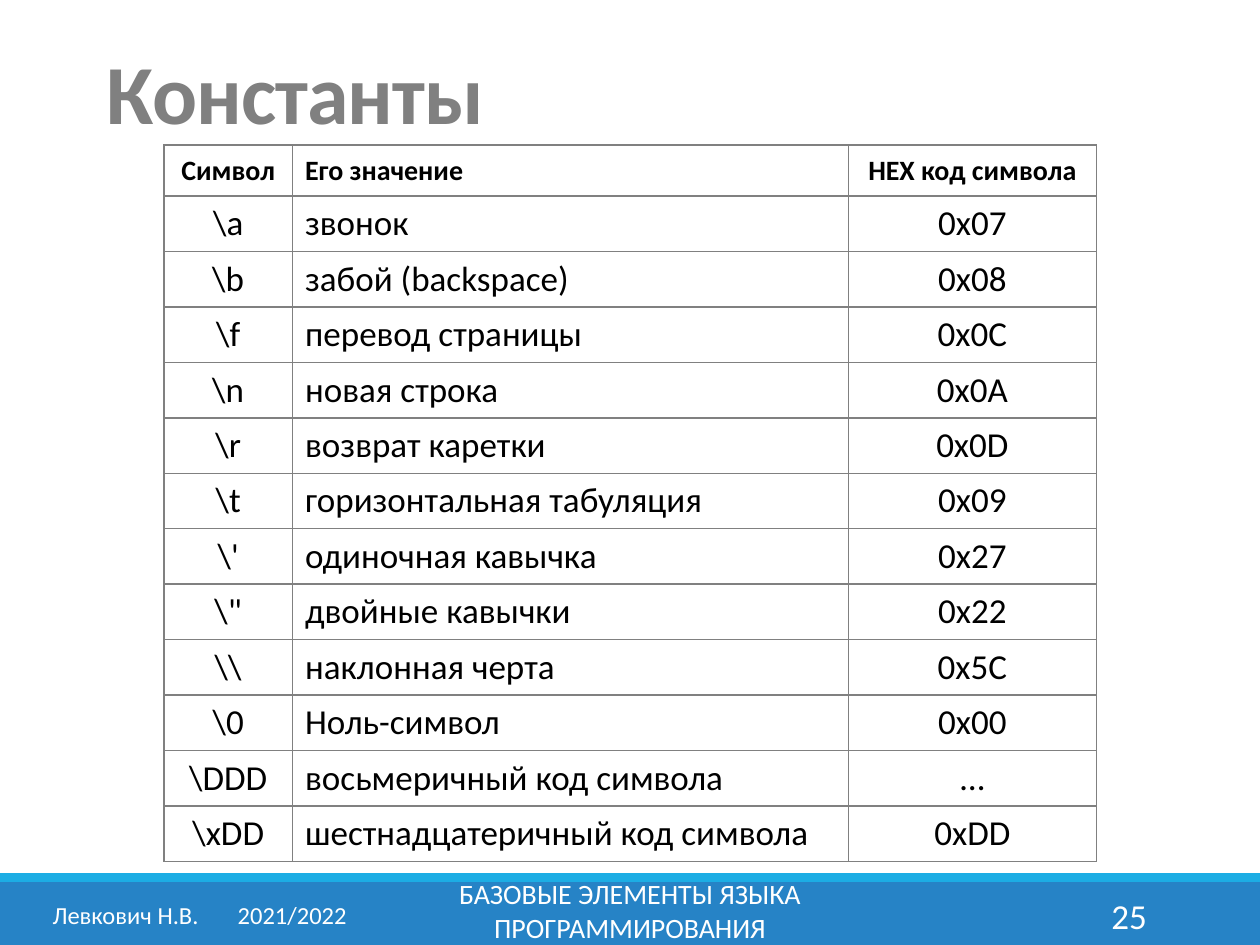
from dataclasses import dataclass
from typing import Optional

import pptx
import pptx.dml.color
import pptx.enum.shapes
import pptx.enum.text
import pptx.oxml
import pptx.oxml.ns
import pptx.util

Pt = pptx.util.Pt
ALIGN = pptx.enum.text.PP_ALIGN
ANCHOR = pptx.enum.text.MSO_ANCHOR
FONT = "Calibri"
GREY = "808080"
WHITE = "FFFFFF"
BLACK = "000000"


@dataclass
class Bar:
    top: float
    height: float
    fill: str


@dataclass
class Label:
    text: str
    left: float
    top: float
    width: float
    height: float
    size: float
    color: str = WHITE
    bold: bool = False
    align: ALIGN = ALIGN.LEFT
    anchor: ANCHOR = ANCHOR.MIDDLE
    line_spacing: Optional[float] = None
    char_spacing: Optional[float] = None
    tab: Optional[float] = None


BARS = [Bar(504, 36, "2683C6"), Bar(499, 5, "1CADE4")]

LABELS = [
    Label("Константы", 54, 18, 631.5, 66.2, 48, GREY, bold=True,
          anchor=ANCHOR.BOTTOM, line_spacing=0.85, char_spacing=-0.5),
    Label("25", 584.6, 508.5, 77.8, 28.8, 20, align=ALIGN.RIGHT),
    Label("БАЗОВЫЕ ЭЛЕМЕНТЫ ЯЗЫКА ПРОГРАММИРОВАНИЯ", 217.4, 502.6, 285.2, 35.3, 16,
          align=ALIGN.CENTER),
    Label("Левкович Н.В.\t2021/2022", 23, 508.5, 188, 28.8, 14, tab=105.8),
]

HEADER = ("Символ", "Его значение", "HEX код символа")
ESCAPES = [
    (r"\a", "звонок", "0x07"),
    (r"\b", "забой (backspace)", "0x08"),
    (r"\f", "перевод страницы", "0x0C"),
    (r"\n", "новая строка", "0x0A"),
    (r"\r", "возврат каретки", "0x0D"),
    (r"\t", "горизонтальная табуляция", "0x09"),
    (r"\'", "одиночная кавычка", "0x27"),
    (r"\"", "двойные кавычки", "0x22"),
    ("\\\\", "наклонная черта", "0x5C"),
    (r"\0", "Ноль-символ", "0x00"),
    (r"\DDD", "восьмеричный код символа", "…"),
    (r"\xDD", "шестнадцатеричный код символа", "0xDD"),
]
COLUMN_WIDTHS = (73.6, 317.6, 141.8)
COLUMN_ALIGNS = (ALIGN.CENTER, ALIGN.LEFT, ALIGN.CENTER)
HEADER_HEIGHT, ROW_HEIGHT = 29.2, 31.7


def rgb(color: str) -> pptx.dml.color.RGBColor:
    return pptx.dml.color.RGBColor.from_string(color)


def set_font(p, size: float, color: str, bold: bool) -> None:
    p.font.name = FONT
    p.font.size = Pt(size)
    p.font.bold = bold
    p.font.color.rgb = rgb(color)


def add_bar(s, bar: Bar) -> None:
    sp = s.shapes.add_shape(pptx.enum.shapes.MSO_SHAPE.RECTANGLE,
                            0, Pt(bar.top), Pt(720), Pt(bar.height))
    sp.shadow.inherit = False
    sp.fill.solid()
    sp.fill.fore_color.rgb = rgb(bar.fill)
    sp.line.fill.background()


def add_label(s, label: Label) -> None:
    sp = s.shapes.add_textbox(Pt(label.left), Pt(label.top),
                              Pt(label.width), Pt(label.height))
    tf = sp.text_frame
    tf.word_wrap = True
    tf.vertical_anchor = label.anchor
    p = tf.paragraphs[0]
    p.text = label.text
    p.alignment = label.align
    set_font(p, label.size, label.color, label.bold)
    if label.line_spacing is not None:
        p.line_spacing = label.line_spacing
    if label.char_spacing is not None:
        for r in p.runs:
            r.font._element.set("spc", str(round(label.char_spacing * 100)))
    if label.tab is not None:
        tabs = pptx.oxml.parse_xml(
            f'<a:tabLst {pptx.oxml.ns.nsdecls("a")}>'
            f'<a:tab pos="{Pt(label.tab)}" algn="l"/></a:tabLst>')
        p.font._element.addprevious(tabs)


def set_borders(cell, color: str, width: float) -> None:
    tc_pr = cell._tc.get_or_add_tcPr()
    for side in ("lnL", "lnR", "lnT", "lnB"):
        tc_pr.append(pptx.oxml.parse_xml(
            f'<a:{side} {pptx.oxml.ns.nsdecls("a")} w="{Pt(width)}">'
            f'<a:solidFill><a:srgbClr val="{color}"/></a:solidFill></a:{side}>'))


def fill_cell(cell, text: str, align: ALIGN, is_header: bool) -> None:
    set_borders(cell, GREY, 1)
    cell.fill.solid()
    cell.fill.fore_color.rgb = rgb(WHITE)
    cell.vertical_anchor = ANCHOR.MIDDLE
    p = cell.text_frame.paragraphs[0]
    p.text = text
    p.alignment = align
    set_font(p, 16 if is_header else 20, BLACK, is_header)


def add_escape_table(s) -> None:
    rows = [HEADER, *ESCAPES]
    height = HEADER_HEIGHT + ROW_HEIGHT * len(ESCAPES)
    table = s.shapes.add_table(len(rows), len(HEADER), Pt(93.6), Pt(82.8),
                               Pt(sum(COLUMN_WIDTHS)), Pt(height)).table
    table.first_row = table.horz_banding = False
    for column, width in zip(table.columns, COLUMN_WIDTHS):
        column.width = Pt(width)
    for i, texts in enumerate(rows):
        table.rows[i].height = Pt(ROW_HEIGHT if i else HEADER_HEIGHT)
        for j, (text, align) in enumerate(zip(texts, COLUMN_ALIGNS)):
            fill_cell(table.cell(i, j), text, align, is_header=i == 0)


def main() -> None:
    prs = pptx.Presentation()
    prs.slide_width, prs.slide_height = Pt(720), Pt(540)
    s = prs.slides.add_slide(prs.slide_layouts[6])

    # Footer band
    for bar in BARS:
        add_bar(s, bar)

    # Title and footer texts
    for label in LABELS:
        add_label(s, label)

    # Escape sequences
    add_escape_table(s)

    prs.save("out.pptx")


if __name__ == "__main__":
    main()
